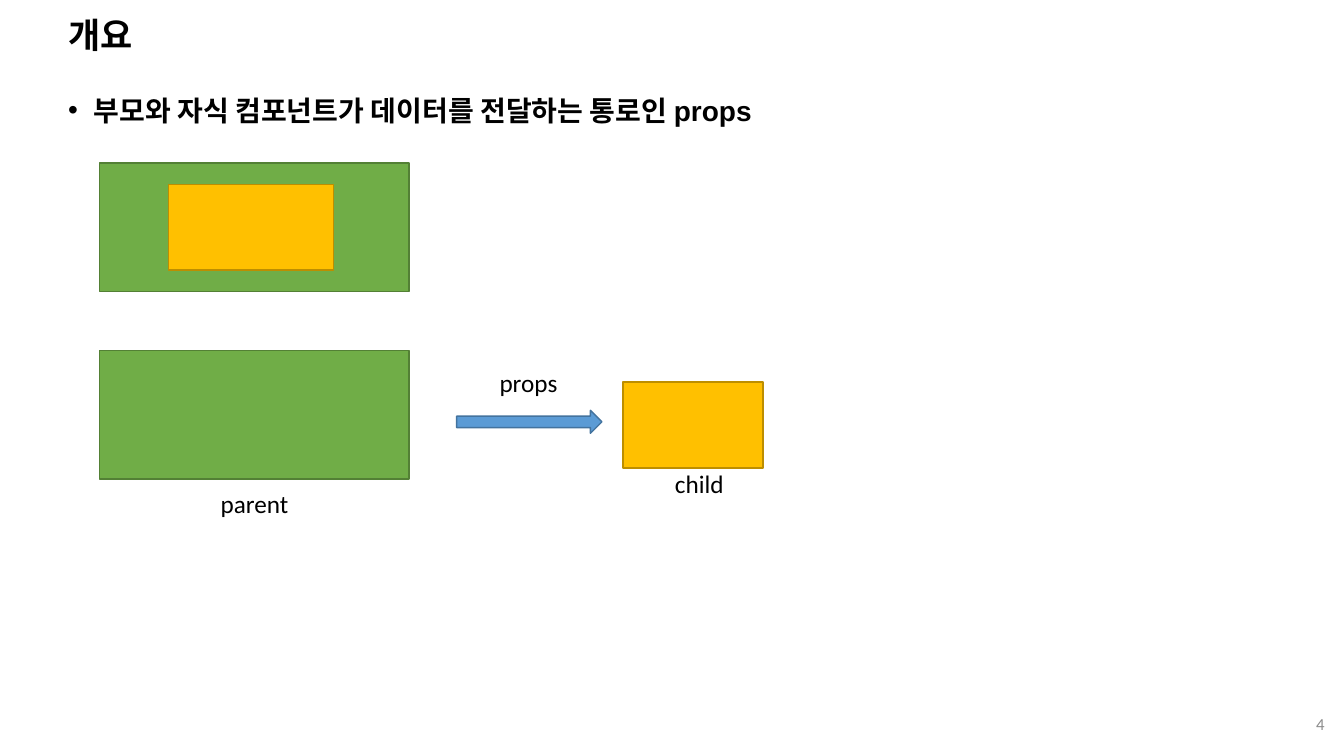
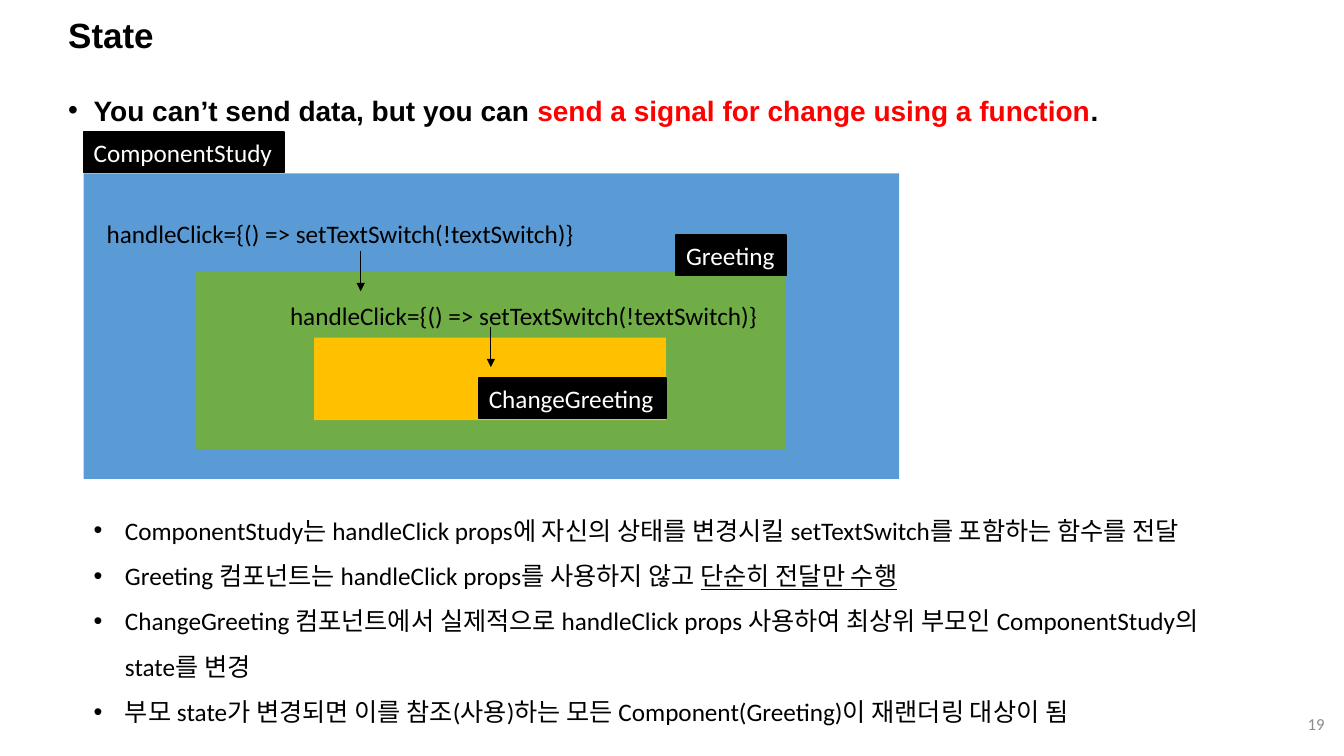
from dataclasses import dataclass

from lxml.etree import SubElement
from pptx import Presentation
from pptx.dml.color import RGBColor
from pptx.enum.shapes import MSO_CONNECTOR as Connector, MSO_SHAPE as Preset
from pptx.enum.text import MSO_ANCHOR as Anchor, MSO_AUTO_SIZE as AutoSize, PP_ALIGN as Align
from pptx.oxml.ns import qn
from pptx.util import Cm, Pt

BLACK = RGBColor(0x00, 0x00, 0x00)
WHITE = RGBColor(0xFF, 0xFF, 0xFF)
RED = RGBColor(0xFF, 0x00, 0x00)
GRAY = RGBColor(0x8C, 0x8C, 0x8C)
GREEN = RGBColor(0x70, 0xAD, 0x47)
GREEN_EDGE = RGBColor(0x53, 0x80, 0x35)
YELLOW = RGBColor(0xFF, 0xC0, 0x00)
YELLOW_EDGE = RGBColor(0xBD, 0x8E, 0x00)
BLUE = RGBColor(0x5B, 0x9B, 0xD5)
BLUE_EDGE = RGBColor(0x43, 0x73, 0x9E)

HEADING_FONT = "Arial"
TEXT_FONT = "Calibri"
LABEL_HEIGHT = 1.02
CODE_WIDTH = 12.42
SIGNAL_LENGTH = 1.02


@dataclass
class Piece:
    """A stretch of text with its own colour or underline."""
    text: str
    color: RGBColor = BLACK
    underline: bool = False


class Deck:
    """Holds the presentation, its style and the current slide; lengths in cm."""

    def __init__(self):
        self.presentation = Presentation()
        self.presentation.slide_width = Cm(33.87)
        self.presentation.slide_height = Cm(19.05)
        self.slide = None

    def add_slide(self, title, headline, number):
        """Start a slide with its title, bulleted headline and page number."""
        self.slide = self.presentation.slides.add_slide(self.presentation.slide_layouts[6])

        frame = self.text_box(1.47, 0.46, 29.21, 0.97)
        frame.vertical_anchor = Anchor.MIDDLE
        paragraph = frame.paragraphs[0]
        paragraph.line_spacing = 0.9
        self.add_runs(paragraph, [Piece(title)], 25, HEADING_FONT, bold=True)

        paragraph = self.text_box(1.47, 1.8, 31.47, 16.36).paragraphs[0]
        paragraph.alignment = Align.JUSTIFY
        paragraph.line_spacing = 1.5
        paragraph.space_before = Pt(10)
        self.bullet(paragraph, 0.64)
        self.add_runs(paragraph, headline, 20, HEADING_FONT, bold=True)

        frame = self.text_box(26.01, 17.73, 7.62, LABEL_HEIGHT)
        frame.vertical_anchor = Anchor.MIDDLE
        frame.paragraphs[0].alignment = Align.RIGHT
        self.add_runs(frame.paragraphs[0], [Piece(str(number), GRAY)], 12)

    def add_runs(self, paragraph, pieces, size=18, font=TEXT_FONT, bold=False):
        for piece in pieces:
            run = paragraph.add_run()
            run.text = piece.text
            run.font.name = font
            run.font.size = Pt(size)
            run.font.bold = bold
            run.font.underline = piece.underline
            run.font.color.rgb = piece.color

    def bullet(self, paragraph, indent):
        """Give the paragraph a hanging round bullet; call after setting spacing."""
        properties = paragraph._p.get_or_add_pPr()
        properties.set("marL", str(Cm(indent)))
        properties.set("indent", str(-Cm(indent)))
        SubElement(properties, qn("a:buFont")).set("typeface", "Arial")
        SubElement(properties, qn("a:buChar")).set("char", "•")

    def text_box(self, left, top, width, height):
        box = self.slide.shapes.add_textbox(Cm(left), Cm(top), Cm(width), Cm(height))
        box.text_frame.word_wrap = True
        return box.text_frame

    def fit_line(self, frame, text, color):
        """Put one unwrapped line in a frame that grows with it."""
        frame.word_wrap = False
        frame.auto_size = AutoSize.SHAPE_TO_FIT_TEXT
        frame.vertical_anchor = Anchor.TOP
        frame.paragraphs[0].alignment = Align.LEFT
        self.add_runs(frame.paragraphs[0], [Piece(text, color)])

    def label(self, text, left, top, width):
        self.fit_line(self.text_box(left, top, width, LABEL_HEIGHT), text, BLACK)

    def block(self, left, top, width, height, fill, edge=None, preset=Preset.RECTANGLE):
        shape = self.slide.shapes.add_shape(preset, Cm(left), Cm(top), Cm(width), Cm(height))
        shape.shadow.inherit = False
        shape.fill.solid()
        shape.fill.fore_color.rgb = fill
        if edge is None:
            shape.line.fill.background()
        else:
            shape.line.color.rgb = edge
            shape.line.width = Pt(1)
        return shape

    def tag(self, text, left, top, width):
        """Add a black name plate."""
        shape = self.block(left, top, width, LABEL_HEIGHT, BLACK, BLACK)
        self.fit_line(shape.text_frame, text, WHITE)

    def signal(self, x, top):
        """Add a thin arrow pointing down."""
        connector = self.slide.shapes.add_connector(
            Connector.STRAIGHT, Cm(x), Cm(top), Cm(x), Cm(top + SIGNAL_LENGTH))
        connector.line.color.rgb = BLACK
        connector.line.width = Pt(0.5)
        properties = connector._element.spPr
        SubElement(properties.find(qn("a:ln")), qn("a:tailEnd")).set("type", "triangle")
        SubElement(properties, qn("a:effectLst"))

    def bullet_list(self, items, left, top, width, height):
        frame = self.text_box(left, top, width, height)
        frame.auto_size = AutoSize.SHAPE_TO_FIT_TEXT
        for index, pieces in enumerate(items):
            paragraph = frame.add_paragraph() if index else frame.paragraphs[0]
            paragraph.line_spacing = 1.5
            self.bullet(paragraph, 0.79)
            self.add_runs(paragraph, pieces)


def add_overview(deck):
    deck.add_slide("개요", [Piece("부모와 자식 컴포넌트가 데이터를 전달하는 통로인 props")], 4)
    for top in (4.11, 8.84):
        deck.block(2.51, top, 7.8, 3.23, GREEN, GREEN_EDGE)
    for left, top, width in ((4.24, 4.65, 4.17), (15.7, 9.63, 3.53)):
        deck.block(left, top, width, 2.16, YELLOW, YELLOW_EDGE)
    deck.block(11.51, 10.34, 3.66, 0.58, BLUE, BLUE_EDGE, Preset.RIGHT_ARROW)
    deck.label("props", 12.34, 9.12, 1.98)
    deck.label("parent", 5.31, 12.19, 2.24)
    deck.label("child", 16.76, 11.68, 1.75)


def add_state(deck):
    deck.add_slide("State", [
        Piece("You can’t send data, but you can "),
        Piece("send a signal for change using a function", RED),
        Piece("."),
    ], 19)

    deck.block(2.11, 4.37, 20.55, 7.7, BLUE)
    deck.block(4.93, 6.86, 14.86, 4.47, GREEN)
    deck.block(7.92, 8.51, 8.86, 2.08, YELLOW)

    deck.tag("ComponentStudy", 2.11, 3.33, 5.05)
    deck.tag("Greeting", 17.04, 5.92, 2.77)
    deck.tag("ChangeGreeting", 12.07, 9.53, 4.72)

    for left, top, signal_x, signal_top in ((2.44, 5.38, 9.09, 6.32),
                                            (7.06, 7.44, 12.37, 8.23)):
        deck.label("handleClick={() => setTextSwitch(!textSwitch)}", left, top, CODE_WIDTH)
        deck.signal(signal_x, signal_top)

    deck.bullet_list([
        [Piece("ComponentStudy는 handleClick props에 자신의 상태를 변경시킬 "
               "setTextSwitch를 포함하는 함수를 전달")],
        [Piece("Greeting 컴포넌트는 handleClick props를 사용하지 않고 "),
         Piece("단순히 전달만 수행", underline=True)],
        [Piece("ChangeGreeting 컴포넌트에서 실제적으로 handleClick props 사용하여 "
               "최상위 부모인 ComponentStudy의 state를 변경")],
        [Piece("부모 state가 변경되면 이를 참조(사용)하는 모든 "
               "Component(Greeting)이 재랜더링 대상이 됨")],
    ], 2.11, 12.47, 29.74, 5.92)


def main():
    deck = Deck()
    add_overview(deck)
    add_state(deck)
    deck.presentation.save("out.pptx")


if __name__ == "__main__":
    main()
